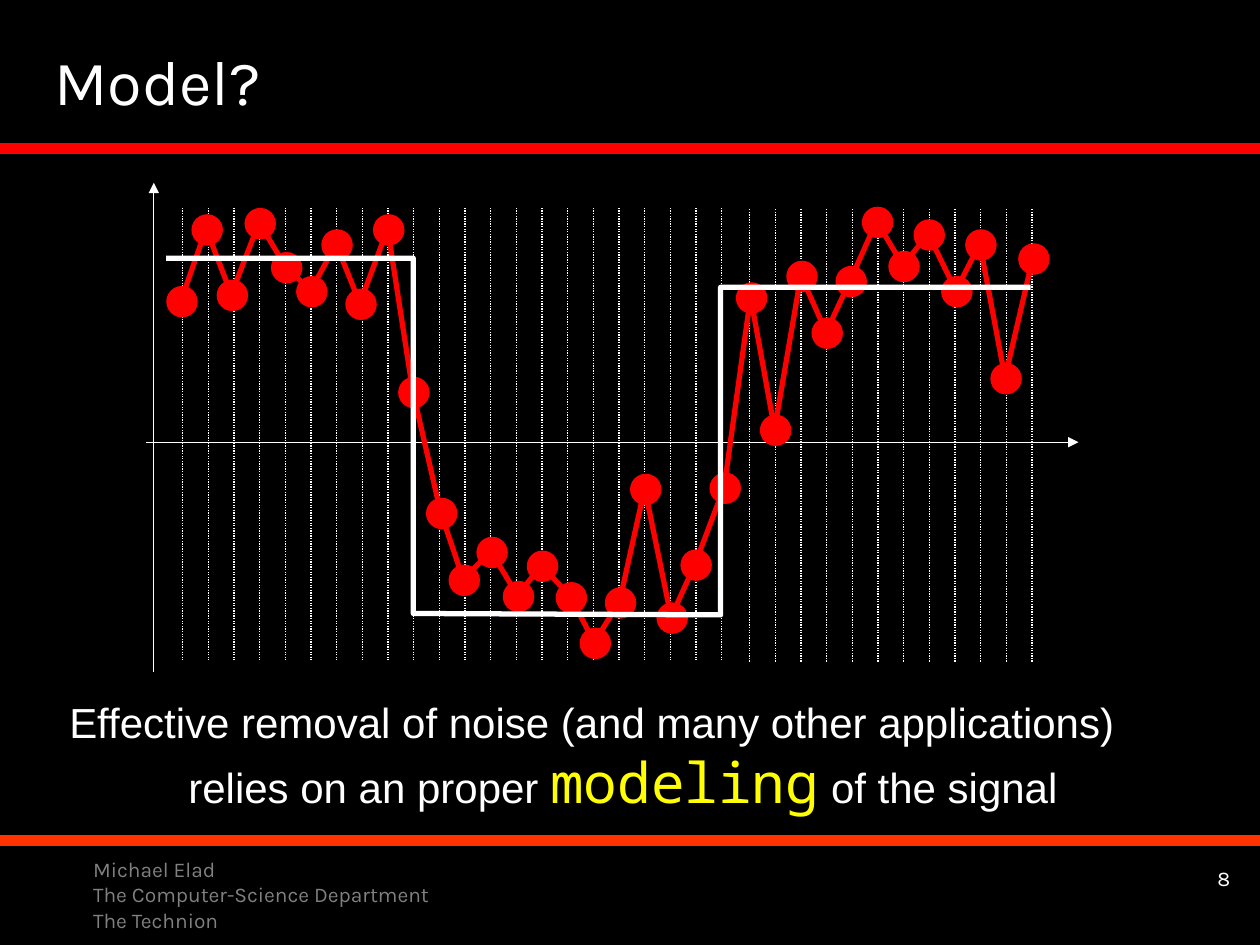
from typing import NamedTuple

from lxml import etree
from pptx import Presentation, util as u
from pptx.dml import color
from pptx.enum import dml, shapes, text
from pptx.oxml import ns

Pt = u.Pt
WHITE, RED, GRAY = "FFFFFF", "FF0000", "808080"


class Spot(NamedTuple):
    x: float
    y: float


class Comb(NamedTuple):
    left: float
    top: float
    count: int


class Run(NamedTuple):
    words: str
    size: float
    font: str
    hue: str = WHITE


class Para(NamedTuple):
    runs: list[Run]
    align: text.PP_ALIGN = text.PP_ALIGN.LEFT
    indent: float = 0


DOT = 18
STEP, TALL = 14.67, 258.5
COMBS = [Comb(104.4, 118.8, 22), Comb(428.4, 119.5, 12)]

# Centres of the noisy samples, left to right
NOISY = [Spot(*p) for p in [
    (104, 172.4), (118.4, 131.4), (132.8, 168.8), (148.7, 127.8),
    (163.8, 153), (178.2, 166.7), (192.6, 140), (206.3, 173.9),
    (222.1, 131.4), (236.5, 224.3), (252.4, 293.4), (265.3, 331.6),
    (281.2, 315.7), (296.3, 340.9), (310, 323.6), (326.5, 341.6),
    (340.2, 367.6), (354.6, 344.5), (369, 279.7), (384.1, 353.2),
    (397.8, 322.9), (414.4, 279), (429.5, 170.3), (443.2, 245.9),
    (458.3, 158), (472.7, 190.4), (486.4, 160.9), (501.5, 127.1),
    (516.6, 152.3), (531, 134.3), (546.8, 166.7), (560.5, 140),
    (574.9, 216.4), (590.8, 148)]]

# Corners of the piecewise constant model
MODEL = [Spot(*p) for p in [
    (95, 147.6), (236.2, 147.6), (236.2, 350.6),
    (411.8, 351.4), (411.8, 164.2), (589, 164.2)]]


def rgb(code: str) -> color.RGBColor:
    return color.RGBColor.from_string(code)


def rule(slide, a: Spot, b: Spot, hue: str, width: float,
         dash=None, arrow: bool = False) -> None:
    line = slide.shapes.add_connector(
        shapes.MSO_CONNECTOR.STRAIGHT, Pt(a.x), Pt(a.y), Pt(b.x), Pt(b.y))
    line.line.color.rgb = rgb(hue)
    line.line.width = Pt(width)
    if dash:
        line.line.dash_style = dash
    props = line._element.spPr
    if arrow:
        etree.SubElement(props.find(ns.qn("a:ln")), ns.qn("a:tailEnd"),
                         type="triangle")
    etree.SubElement(props, ns.qn("a:effectLst"))


def dot(slide, spot: Spot) -> None:
    disc = slide.shapes.add_shape(
        shapes.MSO_SHAPE.OVAL, Pt(spot.x - DOT / 2), Pt(spot.y - DOT / 2),
        Pt(DOT), Pt(DOT))
    disc.shadow.inherit = False
    disc.fill.solid()
    disc.fill.fore_color.rgb = rgb(RED)
    disc.line.fill.background()


def curve(slide, spots: list[Spot], hue: str) -> None:
    first, *rest = [(Pt(s.x), Pt(s.y)) for s in spots]
    pen = slide.shapes.build_freeform(*first)
    pen.add_line_segments(rest, close=False)
    form = pen.convert_to_shape()
    form.shadow.inherit = False
    form.fill.background()
    form.line.color.rgb = rgb(hue)
    form.line.width = Pt(3)


def label(slide, left: float, top: float, width: float, height: float,
          paras: list[Para], anchor=text.MSO_ANCHOR.TOP) -> None:
    box = slide.shapes.add_textbox(Pt(left), Pt(top), Pt(width), Pt(height))
    frame = box.text_frame
    frame.word_wrap = True
    frame.vertical_anchor = anchor
    for i, para in enumerate(paras):
        line = frame.add_paragraph() if i else frame.paragraphs[0]
        line.alignment = para.align
        if para.indent:
            line._p.get_or_add_pPr().set("marL", str(Pt(para.indent)))
        for part in para.runs:
            run = line.add_run()
            run.text = part.words
            run.font.size = Pt(part.size)
            run.font.name = part.font
            run.font.color.rgb = rgb(part.hue)


def main() -> None:
    deck = Presentation()
    deck.slide_width, deck.slide_height = Pt(720), Pt(540)
    slide = deck.slides.add_slide(deck.slide_layouts[6])
    slide.background.fill.solid()
    slide.background.fill.fore_color.rgb = rgb("000000")
    align = text.PP_ALIGN

    # Bars, slide number and title
    rule(slide, Spot(0, 480.2), Spot(720, 480.2), "FF3300", 6)
    label(slide, 560.2, 491, 149.8, 36,
          [Para([Run("8", 12, "Karla")], align.RIGHT)])
    rule(slide, Spot(0, 85), Spot(720, 85), RED, 6)
    label(slide, 0, 12.2, 710.6, 67,
          [Para([Run("Model?", 36, "Karla")], indent=24)],
          text.MSO_ANCHOR.MIDDLE)

    # Axes and sample grid
    rule(slide, Spot(83.5, 252.7), Spot(616.3, 252.7), WHITE, 0.75, arrow=True)
    for comb in COMBS:
        for i in range(comb.count):
            x = comb.left + i * STEP
            rule(slide, Spot(x, comb.top), Spot(x, comb.top + TALL),
                 WHITE, 0.75, dml.MSO_LINE.ROUND_DOT)
    rule(slide, Spot(87.9, 383.8), Spot(87.9, 104.4), WHITE, 0.75, arrow=True)

    # Noisy signal
    for spot in NOISY:
        dot(slide, spot)
    curve(slide, [Spot(s.x - 0.6, s.y - 0.6) for s in NOISY], RED)

    # Message, with the model over the signal
    label(slide, 18, 394.6, 676, 75, [
        Para([Run("Effective removal of noise (and many other applications)",
                  24, "Arial")], indent=14.5),
        Para([Run("relies on an proper ", 24, "Arial"),
              Run("modeling", 32, "Noto Sans Mono", "FFFF00"),
              Run(" of the signal", 24, "Arial")], align.CENTER)])
    curve(slide, MODEL, WHITE)

    # Footer
    lines = ["Michael Elad", "The Computer-Science Department", "The Technion"]
    label(slide, 46.1, 486, 323.3, 54,
          [Para([Run(words, 12, "Karla", GRAY)]) for words in lines])

    deck.save("out.pptx")


if __name__ == "__main__":
    main()
